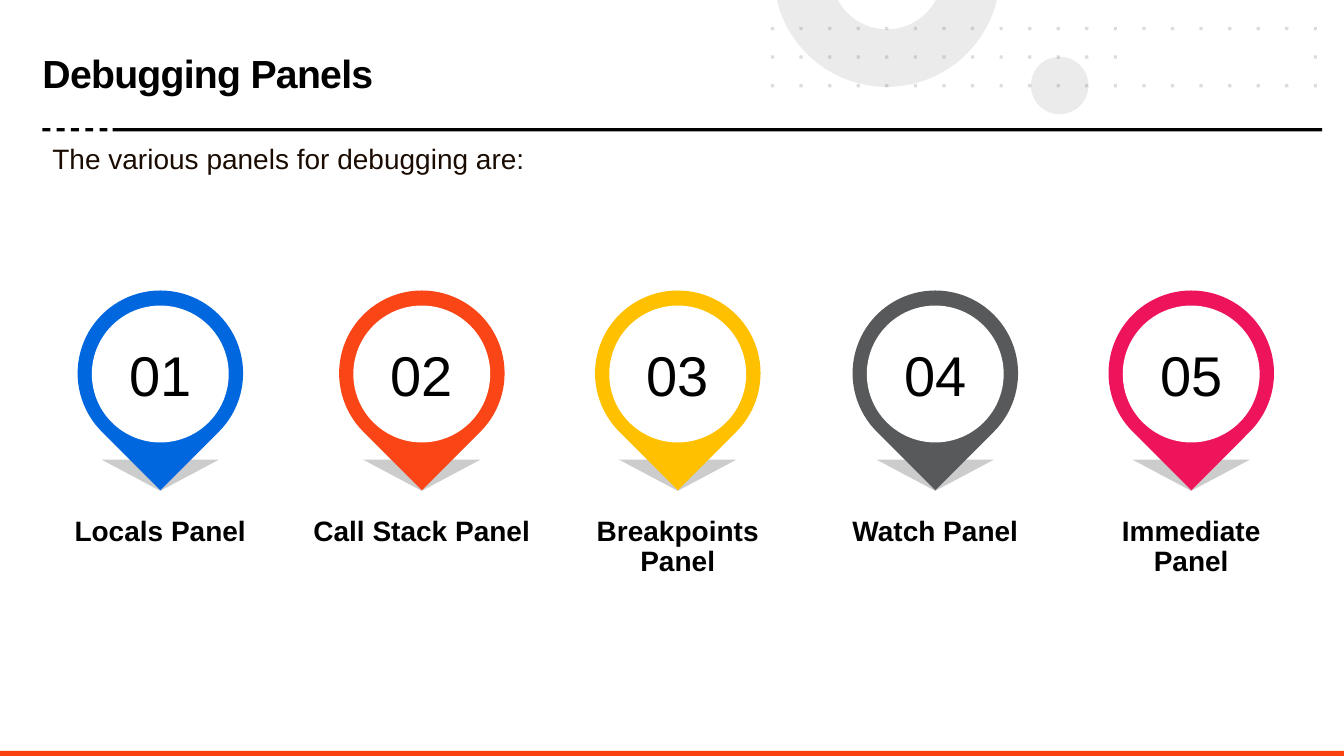
from dataclasses import dataclass
from math import cos, radians, sin, asin, degrees

from lxml.etree import SubElement
from pptx import Presentation
from pptx.dml.color import RGBColor
from pptx.enum.shapes import MSO_SHAPE as Preset
from pptx.enum.text import MSO_ANCHOR as Anchor, MSO_AUTO_SIZE as AutoSize, PP_ALIGN as Align
from pptx.oxml.ns import qn
from pptx.shapes.autoshape import Shape
from pptx.slide import Slide
from pptx.text.text import TextFrame
from pptx.util import Cm, Pt

COLOURS = {
    "black": "000000", "white": "FFFFFF", "intro": "1A0C02", "footer": "FA4211",
    "ornament": "D9D9D9", "dots": "44546A", "blue": "0067DF", "orange": "FA4616",
    "yellow": "FFC000", "grey": "58595B", "pink": "ED145B",
}

Point = tuple[float, float]


@dataclass(frozen=True)
class Box:
    left: float
    top: float
    width: float
    height: float

    def lengths(self) -> tuple[Cm, Cm, Cm, Cm]:
        return Cm(self.left), Cm(self.top), Cm(self.width), Cm(self.height)


@dataclass(frozen=True)
class Panel:
    number: str
    label: str
    colour: str
    centre: float


@dataclass(frozen=True)
class TextStyle:
    size: float
    colour: str = "black"
    bold: bool = False
    align: Align = Align.CENTER
    line_spacing: float = 1.0


PANELS = [
    Panel("01", "Locals Panel", "blue", 4.04),
    Panel("02", "Call Stack Panel", "orange", 10.63),
    Panel("03", "Breakpoints Panel", "yellow", 17.08),
    Panel("04", "Watch Panel", "grey", 23.57),
    Panel("05", "Immediate Panel", "pink", 30.02),
]
TITLE = TextStyle(28, bold=True, align=Align.LEFT, line_spacing=0.85)
INTRO = TextStyle(20, "intro", align=Align.JUSTIFY)
NUMBER = TextStyle(40)
LABEL = TextStyle(20, bold=True, line_spacing=0.9)


def paint(shape: Shape, colour: str, opacity: int = 100) -> Shape:
    shape.shadow.inherit = False
    shape.fill.solid()
    shape.fill.fore_color.rgb = RGBColor.from_string(COLOURS[colour])
    shape.line.fill.background()
    if opacity < 100:
        colour_element = shape._element.spPr.find(qn("a:solidFill"))[0]
        SubElement(colour_element, qn("a:alpha"), val=str(opacity * 1000))
    return shape


def add_preset(slide: Slide, preset: Preset, box: Box, colour: str, opacity: int = 100) -> Shape:
    return paint(slide.shapes.add_shape(preset, *box.lengths()), colour, opacity)


def add_outline(slide: Slide, contours: list[list[Point]], colour: str, opacity: int) -> Shape:
    scaled = [[(Cm(x), Cm(y)) for x, y in contour] for contour in contours]
    builder = slide.shapes.build_freeform(*scaled[0][0])
    for index, contour in enumerate(scaled):
        if index:
            builder.move_to(*contour[0])
        builder.add_line_segments(contour[1:], close=True)
    return paint(builder.convert_to_shape(), colour, opacity)


def write(frame: TextFrame, text: str, style: TextStyle) -> None:
    frame.word_wrap = True
    frame.text = text
    paragraph = frame.paragraphs[0]
    for name, value in {"alignment": style.align, "line_spacing": style.line_spacing}.items():
        setattr(paragraph, name, value)
    font = paragraph.runs[0].font
    for name, value in {"name": "Arial", "size": Pt(style.size), "bold": style.bold}.items():
        setattr(font, name, value)
    font.color.rgb = RGBColor.from_string(COLOURS[style.colour])


def add_text(slide: Slide, box: Box, text: str, style: TextStyle) -> None:
    write(slide.shapes.add_textbox(*box.lengths()).text_frame, text, style)


def arc_below_edge(centre: Point, radius: float) -> list[Point]:
    start = degrees(asin(-centre[1] / radius))
    angles = [radians(start + (180 - 2 * start) * step / 60) for step in range(61)]
    return [(centre[0] + radius * cos(a), centre[1] + radius * sin(a)) for a in angles]


def add_ornaments(slide: Slide) -> None:
    add_preset(slide, Preset.OVAL, Box(25.98, 1.43, 1.45, 1.45), "ornament", 50)
    centre = (22.35, -0.66)
    ring = arc_below_edge(centre, 2.85) + arc_below_edge(centre, 1.4)[::-1]
    add_outline(slide, [ring], "ornament", 50)

    pitch, side = 0.72, 0.08
    corners = [
        (19.43 + column * pitch, 0.68 + row * pitch)
        for row in range(3)
        for column in range(20)
        if row != 1 or not 13 <= column <= 18
    ]
    squares = [[(x, y), (x + side, y), (x + side, y + side), (x, y + side)] for x, y in corners]
    add_outline(slide, squares, "dots", 20)


def add_title(slide: Slide, text: str) -> None:
    title = slide.shapes.title
    lengths = Box(1.07, 0.99, 18.36, 1.9).lengths()
    for name, value in zip(("left", "top", "width", "height"), lengths):
        setattr(title, name, value)
    frame = title.text_frame
    write(frame, text, TITLE)
    settings = {"vertical_anchor": Anchor.MIDDLE, "auto_size": AutoSize.NONE}
    margins = {f"margin_{side}": 0 for side in ("left", "top", "right", "bottom")}
    for name, value in (settings | margins).items():
        setattr(frame, name, value)
    frame.paragraphs[0].runs[0].font._element.set("spc", "-50")


def add_rules(slide: Slide) -> None:
    dashes = [Box(1.07 + index * 0.36, 3.23, 0.2, 0.08) for index in range(5)]
    for box in [Box(2.84, 3.23, 30.48, 0.08), *dashes]:
        add_preset(slide, Preset.RECTANGLE, box, "black")
    add_preset(slide, Preset.RECTANGLE, Box(0, 18.92, 33.87, 0.13), "footer")


def add_panel(slide: Slide, panel: Panel) -> None:
    def centred(top: float, width: float, height: float) -> Box:
        return Box(panel.centre - width / 2, top, width, height)

    add_preset(slide, Preset.FLOWCHART_MERGE, centred(11.58, 2.97, 0.79), "black", 20)
    pin = add_preset(slide, Preset.TEAR, centred(7.32, 4.17, 4.17), panel.colour)
    pin.rotation = 135
    disc = add_preset(slide, Preset.OVAL, centred(7.7, 3.45, 3.45), "white")
    write(disc.text_frame, panel.number, NUMBER)
    disc.text_frame.vertical_anchor = Anchor.MIDDLE
    add_text(slide, centred(12.9, 6.07, 1.02), panel.label, LABEL)


def main() -> None:
    presentation = Presentation()
    presentation.slide_width, presentation.slide_height = Cm(33.87), Cm(19.05)
    slide = presentation.slides.add_slide(presentation.slide_layouts[5])
    add_ornaments(slide)
    add_title(slide, "Debugging Panels")
    add_rules(slide)
    add_text(slide, Box(1.07, 3.45, 32.18, 1.12), "The various panels for debugging are:", INTRO)
    for panel in PANELS:
        add_panel(slide, panel)
    presentation.save("out.pptx")


if __name__ == "__main__":
    main()
